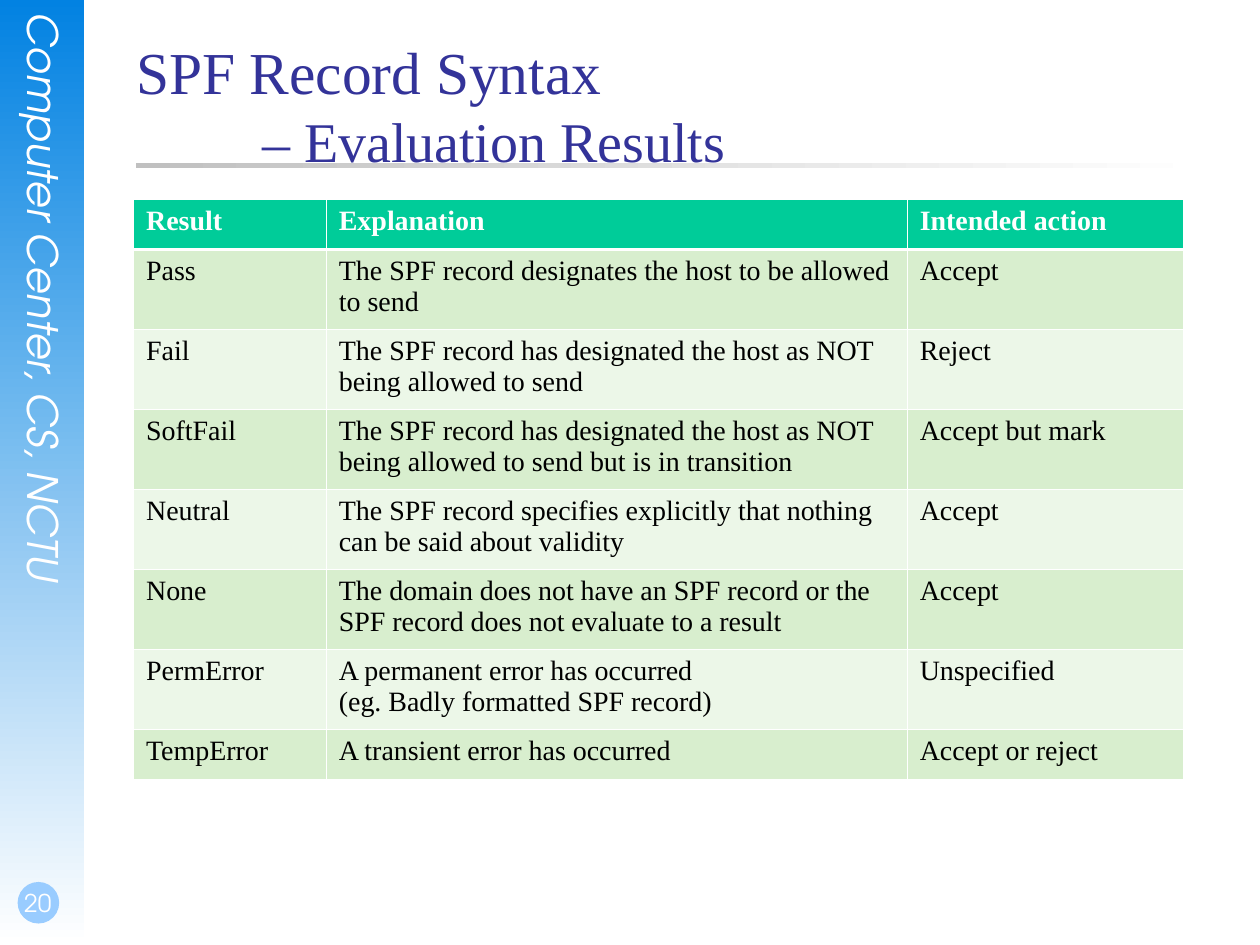
from lxml.etree import SubElement
from pptx import Presentation
from pptx.dml.color import RGBColor
from pptx.enum.shapes import MSO_SHAPE as Shape
from pptx.enum.text import MSO_ANCHOR as Anchor, PP_ALIGN as Align
from pptx.oxml import parse_xml
from pptx.oxml.ns import nsdecls, qn
from pptx.util import Inches, Pt

RESULTS = [
    ("Result", "Explanation", "Intended action"),
    ("Pass", "The SPF record designates the host to be allowed to send", "Accept"),
    ("Fail", "The SPF record has designated the host as NOT being allowed to send", "Reject"),
    ("SoftFail", "The SPF record has designated the host as NOT being allowed to send but is in transition",
     "Accept but mark"),
    ("Neutral", "The SPF record specifies explicitly that nothing can be said about validity", "Accept"),
    ("None", "The domain does not have an SPF record or the SPF record does not evaluate to a result", "Accept"),
    ("PermError", "A permanent error has occurred\v(eg. Badly formatted SPF record)", "Unspecified"),
    ("TempError", "A transient error has occurred", "Accept or reject"),
]


def rgb(value):
    """Turn a hex string into a colour."""
    return RGBColor.from_string(value)


class SlideBuilder:
    """Holds the style and the current slide and draws each kind of element."""

    serif = "Times New Roman"
    sans = "TeX Gyre Adventor"
    white = "FFFFFF"
    navy = "333399"
    header = "00CC99"
    bands = ("D8EECE", "ECF7E8")

    def __init__(self, slide):
        self.slide = slide

    def style(self, paragraph, name, size, color, bold=False, italic=False):
        """Set the font of a paragraph."""
        font = paragraph.font
        font.name, font.size = name, Pt(size)
        font.bold, font.italic = bold, italic
        font.color.rgb = rgb(color)

    def shape(self, kind, at, colors, angle=0):
        """Draw a borderless shape with a solid or two-stop gradient fill."""
        shape = self.slide.shapes.add_shape(kind, *map(Inches, at))
        shape.shadow.inherit = False
        shape.line.fill.background()
        if len(colors) == 1:
            shape.fill.solid()
            shape.fill.fore_color.rgb = rgb(colors[0])
            return
        shape.fill.gradient()
        shape.fill.gradient_angle = angle
        for stop, color in zip(shape.fill.gradient_stops, colors):
            stop.color.rgb = rgb(color)

    def text(self, at, insets=(0, 0, 0, 0), anchor=Anchor.TOP, vertical=None):
        """Add an empty text box and return its first paragraph."""
        box = self.slide.shapes.add_textbox(*map(Inches, at))
        frame = box.text_frame
        frame.word_wrap = True
        frame.vertical_anchor = anchor
        (frame.margin_left, frame.margin_top,
         frame.margin_right, frame.margin_bottom) = map(Inches, insets)
        if vertical:
            box.element.txBody.bodyPr.set("vert", vertical)
        return frame.paragraphs[0]

    def label(self, text, size, at, italic=False, **box):
        """Write a centred white label on the side bar."""
        paragraph = self.text(at, **box)
        paragraph.text = text
        paragraph.alignment = Align.CENTER
        self.style(paragraph, self.sans, size, self.white, italic=italic)

    def title(self, heading, subheading, at):
        """Write a heading with a tabbed, smaller second line."""
        paragraph = self.text(at)
        heading_run = paragraph.add_run()
        heading_run.text = heading
        paragraph.add_line_break()
        subheading_run = paragraph.add_run()
        subheading_run.text = "\t" + subheading
        tabs = SubElement(paragraph._p.get_or_add_pPr(), qn("a:tabLst"))
        SubElement(tabs, qn("a:tab"), pos=str(Inches(1)), algn="l")
        self.style(paragraph, self.serif, 34, self.navy)
        heading_run.font.size = Pt(34)
        subheading_run.font.size = Pt(32)

    def borders(self, cell, row):
        """Draw white cell borders, thicker below the header row."""
        thick = {0: "B", 1: "T"}.get(row)
        for index, side in enumerate("LRTB"):
            width = Pt(1.47 if side == thick else 0.45)
            line = parse_xml(
                f'<a:ln{side} {nsdecls("a")} w="{width}"><a:solidFill>'
                f'<a:srgbClr val="{self.white}"/></a:solidFill></a:ln{side}>')
            cell._tc.get_or_add_tcPr().insert(index, line)

    def table(self, rows, at, widths, edge_height):
        """Draw a banded table whose inner rows share the remaining height."""
        table = self.slide.shapes.add_table(len(rows), len(widths), *map(Inches, at)).table
        table.horz_banding = False
        for column, width in zip(table.columns, widths):
            column.width = Inches(width)
        inner_height = (at[3] - 2 * edge_height) / (len(rows) - 2)
        for r, values in enumerate(rows):
            is_edge = r in (0, len(rows) - 1)
            table.rows[r].height = Inches(edge_height if is_edge else inner_height)
            for c, value in enumerate(values):
                cell = table.cell(r, c)
                cell.text = value
                cell.fill.solid()
                cell.fill.fore_color.rgb = rgb(self.bands[(r - 1) % 2] if r else self.header)
                self.style(cell.text_frame.paragraphs[0], self.serif, 16,
                           "000000" if r else self.white, bold=r == 0)
                self.borders(cell, r)


def main():
    deck = Presentation()
    deck.slide_width, deck.slide_height = Inches(10), Inches(7.5)
    page = SlideBuilder(deck.slides.add_slide(deck.slide_layouts[6]))
    page.shape(Shape.RECTANGLE, (0, 0, 0.67, 7.5), ("0282E2", "FFFFFF"), angle=270)
    page.label("Computer Center, CS, NCTU", 24, (0.15, 0.1, 0.4, 5.11), italic=True, vertical="eaVert")
    page.shape(Shape.OVAL, (0.14, 7, 0.33, 0.33), ("99CCFF",))
    page.label("20", 14, (0, 6.83, 0.58, 0.5), insets=(0.02, 0, 0, 0.05), anchor=Anchor.BOTTOM)
    page.shape(Shape.RECTANGLE, (1.08, 1.29, 8.5, 0.04), ("C0C0C0", "FFFFFF"))
    page.title("SPF Record Syntax", "– Evaluation Results", (1.08, 0.28, 8.5, 1.25))
    page.table(RESULTS, (1.06, 1.58, 8.33, 4.61), (1.53, 4.61, 2.19), edge_height=0.4)
    deck.save("out.pptx")


if __name__ == "__main__":
    main()
